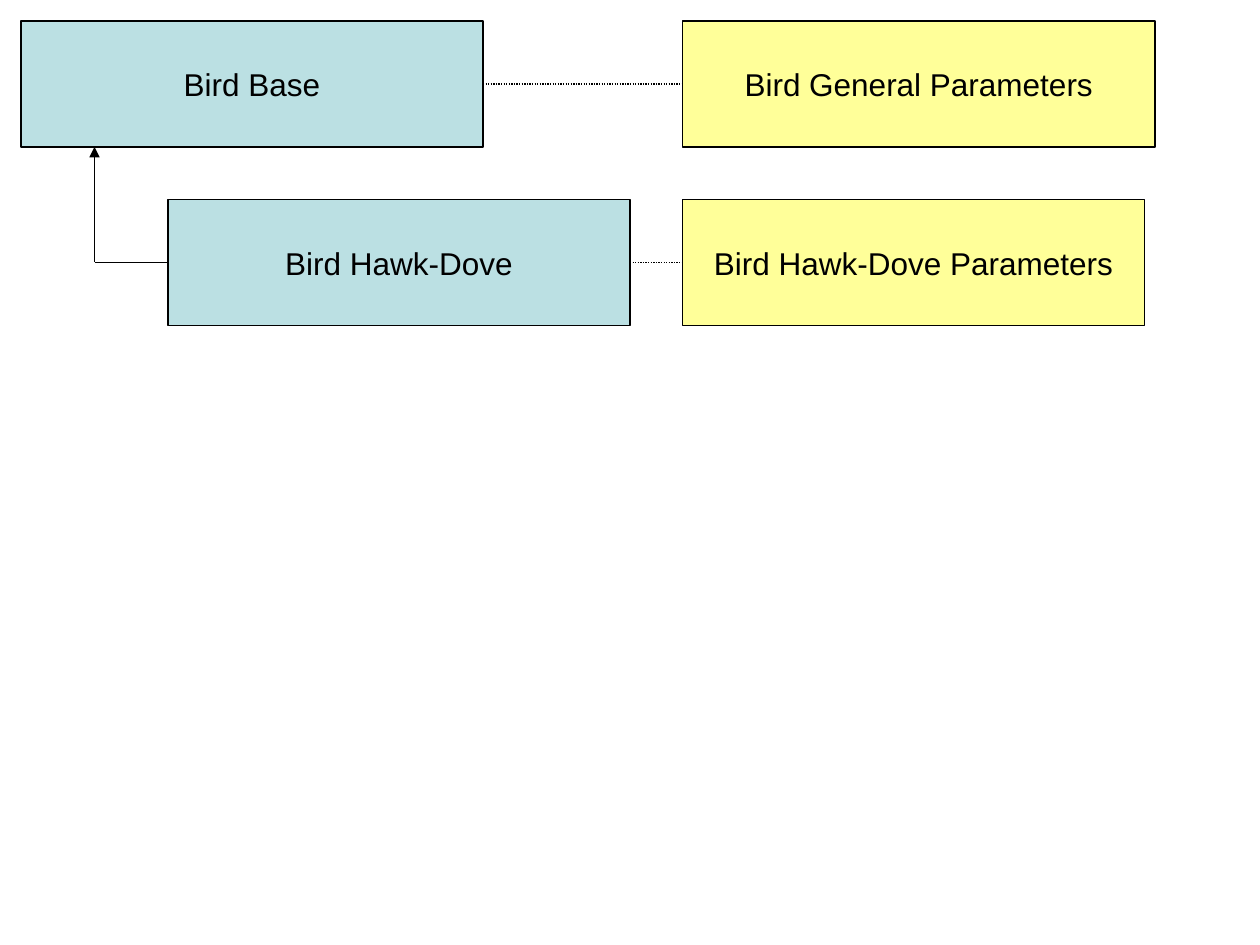
from lxml import etree
from pptx import Presentation
from pptx.dml.color import RGBColor
from pptx.enum import dml, shapes, text
from pptx.oxml.ns import qn
from pptx.util import Pt

THEME = {
    "class_fill": RGBColor.from_string("BBE0E3"),
    "parameter_fill": RGBColor.from_string("FFFF99"),
    "ink": RGBColor.from_string("000000"),
    "font": "Arial",
    "text_size": Pt(18),
    "line_width": Pt(0.75),
}
FRAME_FORMAT = {
    "word_wrap": False,
    "vertical_anchor": text.MSO_ANCHOR.MIDDLE,
    "margin_left": Pt(7.2),
    "margin_right": Pt(7.2),
    "margin_top": Pt(3.6),
    "margin_bottom": Pt(3.6),
}
FONT_FORMAT = {"name": THEME["font"], "size": THEME["text_size"]}
BASE_TOP, HAWK_DOVE_TOP, BOX_HEIGHT = 12, 114, 72
BASE_LEFT, HAWK_DOVE_LEFT, PARAMETER_LEFT = 12, 96, 390
INHERITANCE_X = 54

presentation = Presentation()
presentation.slide_width = Pt(720)
presentation.slide_height = Pt(540)
slide = presentation.slides.add_slide(presentation.slide_layouts[6])


def set_line(line):
    line.color.rgb = THEME["ink"]
    line.width = THEME["line_width"]


def add_link(x1, y1, x2, y2):
    link = slide.shapes.add_connector(
        shapes.MSO_CONNECTOR.STRAIGHT, Pt(x1), Pt(y1), Pt(x2), Pt(y2)
    )
    set_line(link.line)
    etree.SubElement(link._element.spPr, qn("a:effectLst"))
    return link


boxes = {}
for label, left, top, width, fill in [
    ("Bird Base", BASE_LEFT, BASE_TOP, 264, "class_fill"),
    ("Bird Hawk-Dove", HAWK_DOVE_LEFT, HAWK_DOVE_TOP, 264, "class_fill"),
    ("Bird General Parameters", PARAMETER_LEFT, BASE_TOP, 270, "parameter_fill"),
    ("Bird Hawk-Dove Parameters", PARAMETER_LEFT, HAWK_DOVE_TOP, 264, "parameter_fill"),
]:
    box = slide.shapes.add_shape(
        shapes.MSO_SHAPE.RECTANGLE, Pt(left), Pt(top), Pt(width), Pt(BOX_HEIGHT)
    )
    box.shadow.inherit = False
    box.fill.solid()
    box.fill.fore_color.rgb = THEME[fill]
    set_line(box.line)
    for attribute, value in FRAME_FORMAT.items():
        setattr(box.text_frame, attribute, value)
    paragraph = box.text_frame.paragraphs[0]
    paragraph.alignment = text.PP_ALIGN.CENTER
    label_run = paragraph.add_run()
    label_run.text = label
    for attribute, value in FONT_FORMAT.items():
        setattr(label_run.font, attribute, value)
    label_run.font.color.rgb = THEME["ink"]
    boxes[label] = box

for bird, parameters in [
    ("Bird Base", "Bird General Parameters"),
    ("Bird Hawk-Dove", "Bird Hawk-Dove Parameters"),
]:
    association = add_link(0, 0, 0, 0)
    association.begin_connect(boxes[bird], 3)
    association.end_connect(boxes[parameters], 1)
    association.line.dash_style = dml.MSO_LINE.ROUND_DOT

hawk_dove_middle = HAWK_DOVE_TOP + BOX_HEIGHT / 2
inheritance_branch = add_link(HAWK_DOVE_LEFT, hawk_dove_middle, INHERITANCE_X, hawk_dove_middle)
inheritance_branch.begin_connect(boxes["Bird Hawk-Dove"], 1)
inheritance_arrow = add_link(
    INHERITANCE_X, hawk_dove_middle, INHERITANCE_X, BASE_TOP + BOX_HEIGHT
)
arrow_line = inheritance_arrow._element.spPr.find(qn("a:ln"))
etree.SubElement(arrow_line, qn("a:tailEnd"), type="triangle")

presentation.save("out.pptx")
